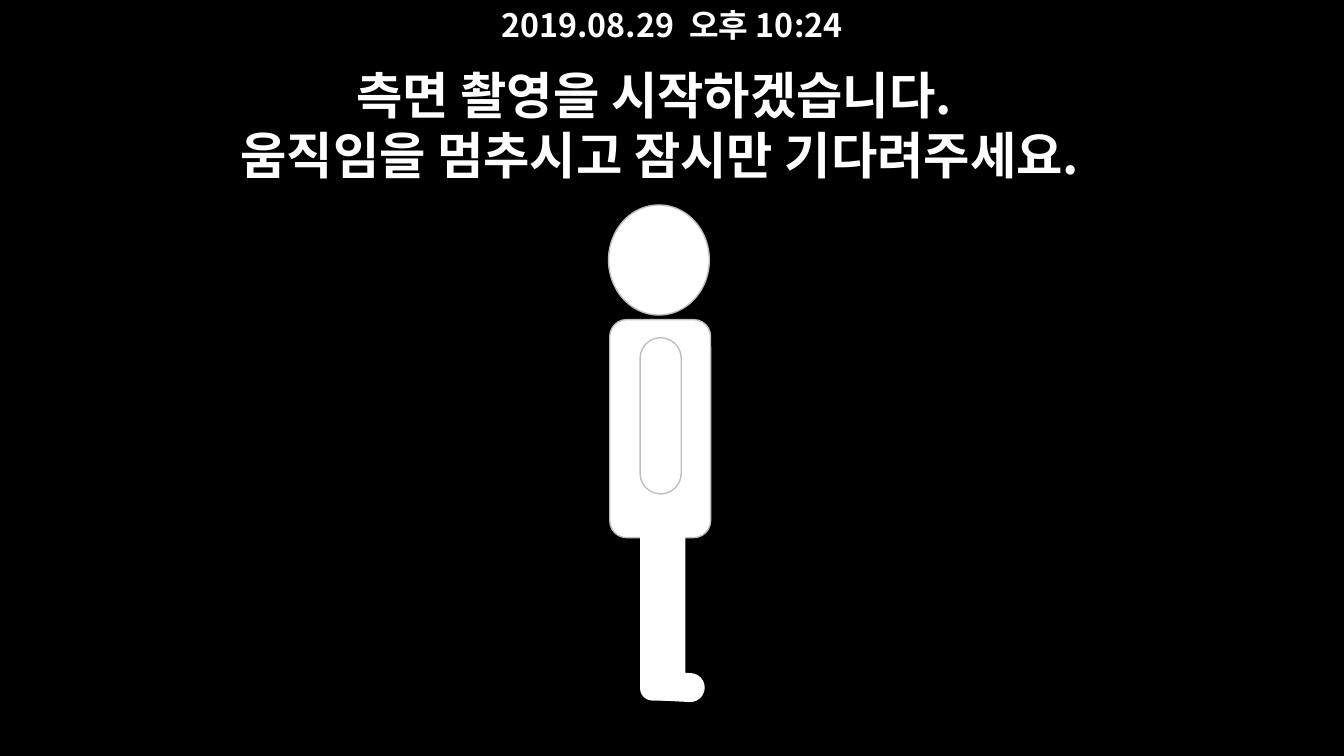
import pptx
import pptx.util
import pptx.dml.color
import pptx.enum.shapes
import pptx.enum.text
import pptx.oxml.ns
from lxml import etree

WHITE = pptx.dml.color.RGBColor(0xFF, 0xFF, 0xFF)
BLACK = pptx.dml.color.RGBColor(0x00, 0x00, 0x00)
GRAY = pptx.dml.color.RGBColor(0xBF, 0xBF, 0xBF)
FONT = "Noto Sans CJK KR"
COLS, ROWS = 160, 90
CELL = pptx.util.Inches(7.5) / ROWS
SHAPE = pptx.enum.shapes.MSO_SHAPE


def grid(*cells):
    return [round(c * CELL) for c in cells]


def add_text(s, box, text, size, bold=True, color=WHITE):
    tf = s.shapes.add_textbox(*grid(*box)).text_frame
    tf.word_wrap = True
    for i, line in enumerate(text.split("\n")):
        p = tf.paragraphs[0] if i == 0 else tf.add_paragraph()
        p.alignment = pptx.enum.text.PP_ALIGN.CENTER
        r = p.add_run()
        r.text = line
        r.font.size = pptx.util.Pt(size)
        r.font.bold = bold
        r.font.color.rgb = color
        r.font.name = FONT
        ea = etree.SubElement(r.font._element, pptx.oxml.ns.qn("a:ea"))
        ea.set("typeface", FONT)


def add_part(s, kind, box, round_corner=None, outline=False, angle=0):
    sp = s.shapes.add_shape(kind, *grid(*box))
    sp.shadow.inherit = False
    sp.fill.solid()
    sp.fill.fore_color.rgb = WHITE
    sp.rotation = angle
    if round_corner is not None:
        sp.adjustments[0] = round_corner
    if outline:
        sp.line.color.rgb = GRAY
        sp.line.width = pptx.util.Pt(1)
    else:
        sp.line.fill.background()


def add_side_figure(s):
    bar = SHAPE.ROUNDED_RECTANGLE
    add_part(s, SHAPE.OVAL, (72.45, 24.4, 12, 13.1), outline=True)
    add_part(s, bar, (72.6, 38.05, 12, 25.95), outline=True)
    add_part(s, bar, (76.2, 61.9, 5.4, 21.5), round_corner=0.27)
    add_part(s, bar, (76.2, 40.2, 4.9, 18.6), round_corner=0.5, outline=True)
    add_part(s, bar, (77.3, 80.05, 6.6, 3.45), round_corner=0.5, angle=3)


def main():
    prs = pptx.Presentation()
    prs.slide_width, prs.slide_height = grid(COLS, ROWS)
    s = prs.slides.add_slide(prs.slide_layouts[6])
    s.background.fill.solid()
    s.background.fill.fore_color.rgb = BLACK
    add_text(s, (13.8, 7, 129.5, 15.7),
             "측면 촬영을 시작하겠습니다. \n움직임을 멈추시고 잠시만 기다려주세요.", 36)
    add_side_figure(s)
    add_text(s, (0, 0, COLS, 5.9), "2019.08.29  오후 10:24", 23)
    prs.save("out.pptx")


if __name__ == "__main__":
    main()
